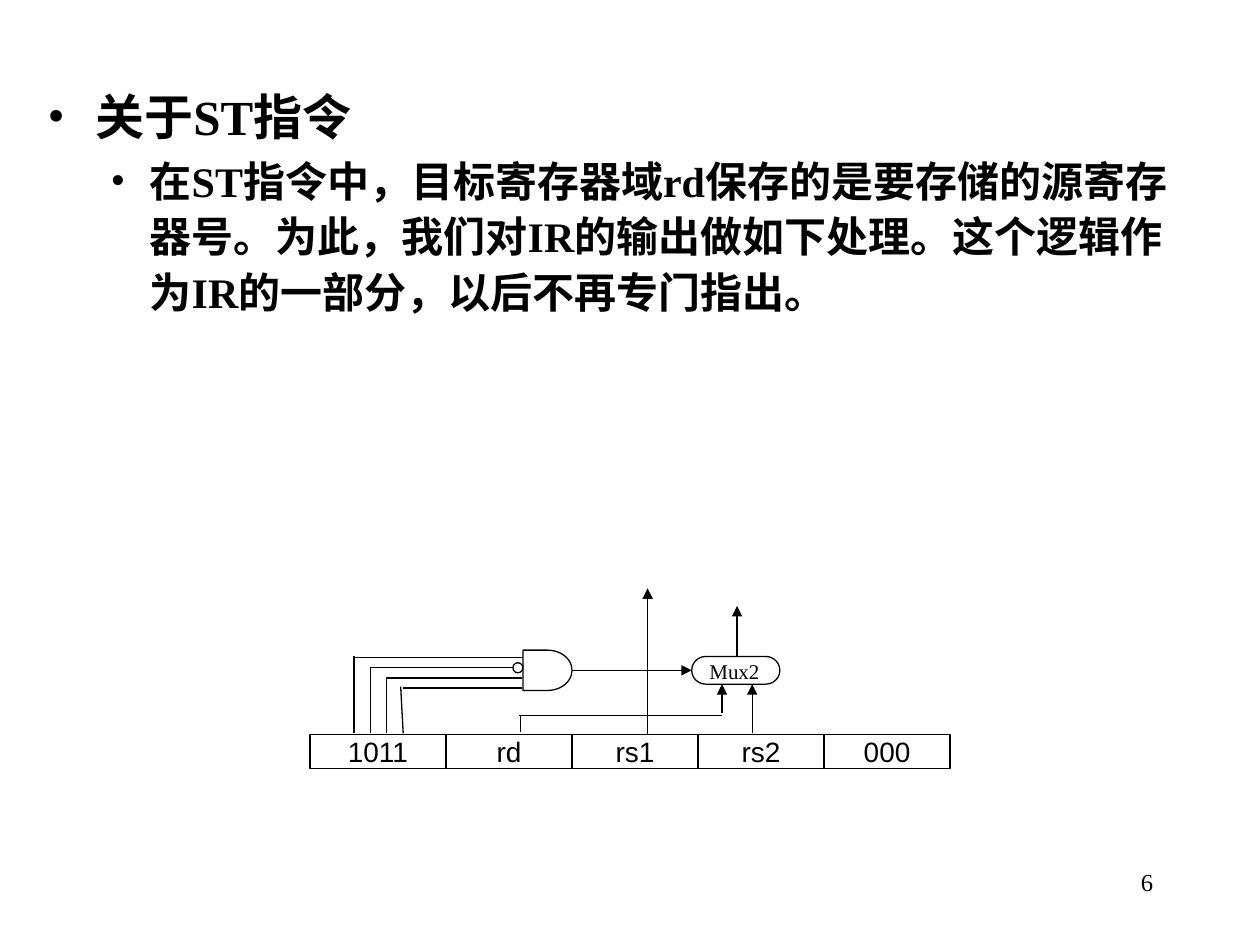
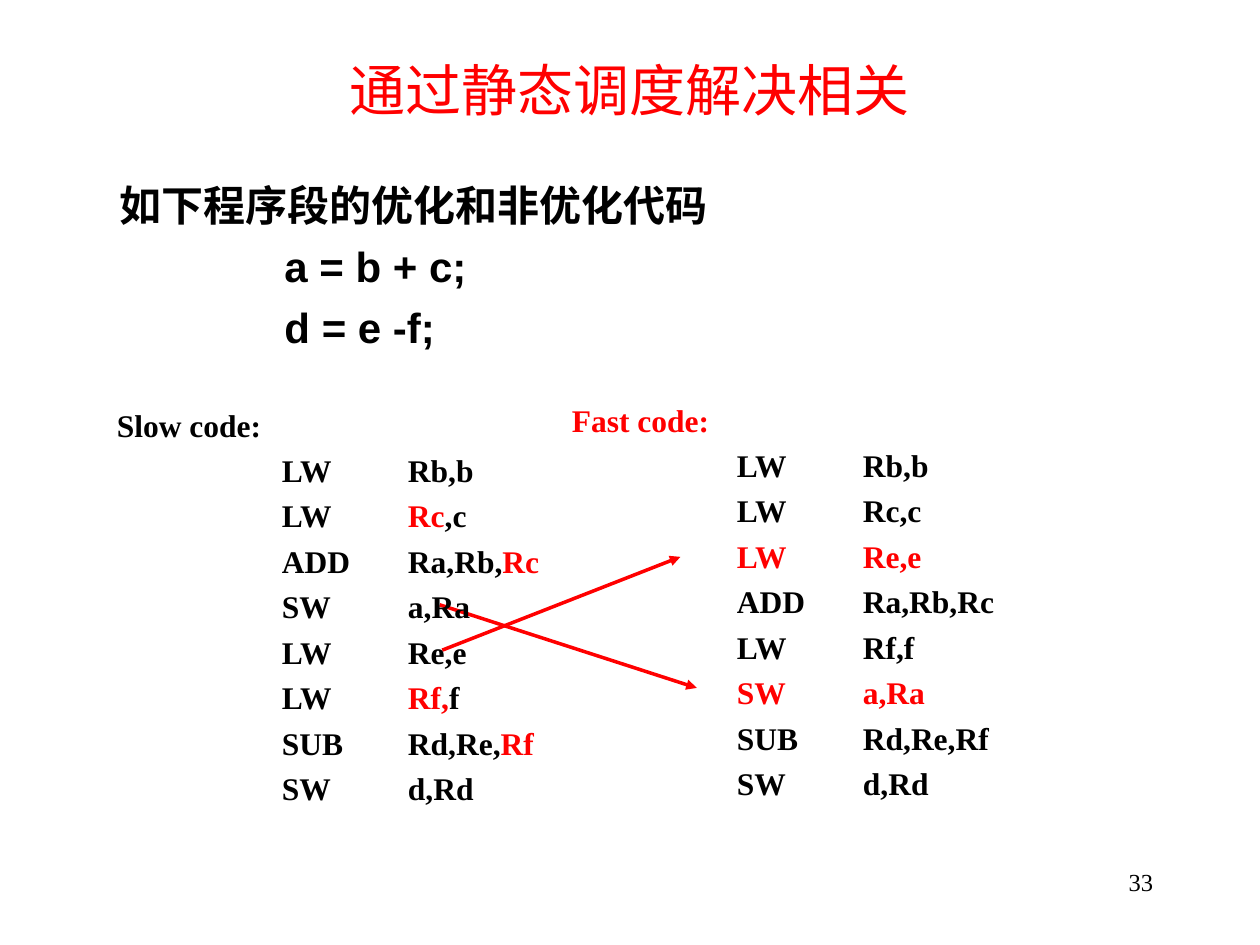
import pptx
import pptx.dml.color
import pptx.enum.shapes
import pptx.enum.text
import pptx.oxml
import pptx.oxml.ns
import pptx.util
from pptx.util import Inches

BLACK = pptx.dml.color.RGBColor(0, 0, 0)
WHITE = pptx.dml.color.RGBColor(255, 255, 255)
RED = pptx.dml.color.RGBColor(255, 0, 0)
SERIF, SANS = "Times New Roman", "Arial"

ALIGN = pptx.enum.text.PP_ALIGN
ANCHOR = pptx.enum.text.MSO_ANCHOR
SHAPE = pptx.enum.shapes.MSO_SHAPE
LEFT, RIGHT = 1, 3

# Paragraph formats
BULLET_1 = {"line_spacing": 1.1, "space_before": pptx.util.Pt(3.5)}
BULLET_2 = {"level": 1, "line_spacing": 1.1, "space_before": pptx.util.Pt(3)}
STATEMENT = {"line_spacing": 0.9, "space_before": pptx.util.Pt(9)}
CODE = {"line_spacing": 1.1, "space_before": pptx.util.Pt(2.2)}
HANGING = (0.31, -0.31)
TAB_SIZE = Inches(1)


def set_all(target, values):
    for name, value in values.items():
        setattr(target, name, value)


def font(name, size, bold=False):
    return {"name": name, "size": pptx.util.Pt(size), "bold": bold}


def add_xml(parent, tag, **attributes):
    element = pptx.oxml.parse_xml(f"<a:{tag} {pptx.oxml.ns.nsdecls('a')}/>")
    for name, value in attributes.items():
        element.set(name, str(value))
    parent.append(element)
    return element


class Deck:
    """Holds the shared style and the current slide."""

    def __init__(self):
        self.presentation = pptx.Presentation()
        self.presentation.slide_width = Inches(10)
        self.presentation.slide_height = Inches(7.5)
        self.slide = None
        self.set_tab_size()

    def set_tab_size(self):
        """Spaces the default tab stops of all inherited text styles."""
        for holder in (self.presentation, self.presentation.slide_master):
            for element in holder.element.iter():
                if element.get("defTabSz"):
                    element.set("defTabSz", str(TAB_SIZE))

    def new_slide(self, number):
        layout = self.presentation.slide_layouts[6]
        self.slide = self.presentation.slides.add_slide(layout)
        frame = self.text_box(7.17, 6.83, 2.08, 0.5)
        self.paragraph(frame, str(number), font(SERIF, 14), {"alignment": ALIGN.RIGHT})

    def title(self, text):
        frame = self.text_box(0.75, 0.29, 8.5, 0.84)
        frame.vertical_anchor = ANCHOR.MIDDLE
        self.paragraph(frame, text, font(SANS, 32), {"alignment": ALIGN.CENTER}, color=RED)

    def text_box(self, left, top, width, height, margins=(0.1, 0.05)):
        box = self.slide.shapes.add_textbox(
            Inches(left), Inches(top), Inches(width), Inches(height))
        return self.prepare(box.text_frame, margins)

    def prepare(self, frame, margins):
        side, end = map(Inches, margins)
        set_all(frame, {"word_wrap": True, "vertical_anchor": ANCHOR.TOP,
                        "margin_left": side, "margin_right": side,
                        "margin_top": end, "margin_bottom": end})
        return frame

    def paragraph(self, frame, text, font_format, layout, color=BLACK,
                  indent=None, bullet=False):
        """Adds a paragraph; parts between asterisks are red."""
        paragraph = frame.paragraphs[0]
        if paragraph.runs:
            paragraph = frame.add_paragraph()
        set_all(paragraph, layout)
        properties = paragraph._p.get_or_add_pPr()
        properties.set("defTabSz", str(TAB_SIZE))
        if indent:
            properties.set("marL", str(Inches(indent[0])))
            properties.set("indent", str(Inches(indent[1])))
        if bullet:
            add_xml(add_xml(properties, "buClr"), "srgbClr", val=BLACK)
            add_xml(properties, "buFont", typeface=SERIF)
            add_xml(properties, "buChar", char="•")
        for index, part in enumerate(text.split("*")):
            if part:
                run = paragraph.add_run()
                run.text = part
                set_all(run.font, font_format)
                run.font.color.rgb = RED if index % 2 else color

    def shape(self, kind, left, top, width, height, fill=None, text=None):
        shape = self.slide.shapes.add_shape(
            kind, Inches(left), Inches(top), Inches(width), Inches(height))
        shape.shadow.inherit = False
        if fill is None:
            shape.fill.background()
        else:
            shape.fill.solid()
            shape.fill.fore_color.rgb = fill
        shape.line.color.rgb = BLACK
        shape.line.width = pptx.util.Pt(0.75)
        if text:
            frame = self.prepare(shape.text_frame, (0, 0))
            self.paragraph(frame, text, font(SANS, 16), {"alignment": ALIGN.CENTER})
        return shape

    def line(self, start, end, arrow=False, color=BLACK, width=0.75):
        line = self.slide.shapes.add_connector(
            pptx.enum.shapes.MSO_CONNECTOR.STRAIGHT, *map(Inches, start + end))
        line.line.color.rgb = color
        line.line.width = pptx.util.Pt(width)
        if arrow:
            add_xml(line.line._get_or_add_ln(), "tailEnd", type="triangle")
        add_xml(line._element.spPr, "effectLst")
        return line

    def code(self, frame, heading, color, instructions):
        style = {"font_format": font(SERIF, 18, True), "layout": CODE, "indent": HANGING}
        self.paragraph(frame, heading, color=color, **style)
        for instruction in instructions:
            self.paragraph(frame, "\t\t" + instruction, **style)


def build_store_slide(deck):
    deck.new_slide(6)

    # Explanation
    body = deck.text_box(0.28, 0.59, 9.32, 2.39)
    deck.paragraph(body, "关于ST指令", font(SERIF, 28, True), BULLET_1,
                   indent=(0.38, -0.38), bullet=True)
    deck.paragraph(
        body, "在ST指令中，目标寄存器域rd保存的是要存储的源寄存器号。"
        "为此，我们对IR的输出做如下处理。这个逻辑作为IR的一部分，以后不再专门指出。",
        font(SERIF, 24, True), BULLET_2, indent=(0.81, -0.31), bullet=True)

    # Multiplexer
    mux = deck.shape(SHAPE.FLOWCHART_TERMINATOR, 5.49, 5.21, 0.7, 0.22)
    label = deck.text_box(5.61, 5.22, 0.48, 0.17, margins=(0.02, 0.01))
    deck.paragraph(label, "Mux2", font(SERIF, 12), {"alignment": ALIGN.JUSTIFY})

    # Instruction fields
    left = 2.46
    for field, width in (("1011", 1.08), ("rd", 1), ("rs1", 1), ("rs2", 1), ("000", 1)):
        deck.shape(SHAPE.RECTANGLE, left, 5.83, width, 0.27, text=field)
        left += width

    # Gate with one inverted input
    gate = deck.shape(SHAPE.FLOWCHART_DELAY, 4.15, 5.16, 0.39, 0.32, fill=WHITE)
    deck.shape(SHAPE.OVAL, 4.07, 5.26, 0.08, 0.08, fill=WHITE)

    # Opcode bits into the gate
    for top_x, foot_x, gate_x, y in ((2.81, 2.81, 4.15, 5.22), (2.94, 2.94, 4.07, 5.3),
                                     (3.07, 3.07, 4.14, 5.38), (3.18, 3.2, 4.14, 5.46)):
        deck.line((foot_x, y), (gate_x, y))
        deck.line((top_x, y - 0.01), (foot_x, 5.82))

    # Register fields into the multiplexer and out
    deck.line((4.13, 5.81), (4.13, 5.68))
    deck.line((4.12, 5.68), (5.73, 5.68))
    deck.line((5.73, 5.66), (5.73, 5.43), arrow=True)
    deck.line((5.97, 5.82), (5.97, 5.43), arrow=True)
    deck.line((5.14, 5.83), (5.14, 4.67), arrow=True)
    deck.line((5.85, 5.21), (5.85, 4.81), arrow=True)
    select = deck.line((4.54, 5.32), (5.49, 5.32), arrow=True)
    select.begin_connect(gate, RIGHT)
    select.end_connect(mux, LEFT)


def build_scheduling_slide(deck):
    deck.new_slide(33)
    deck.title("通过静态调度解决相关")

    # Source statements
    statements = deck.text_box(0.85, 1.42, 6.87, 1.4)
    for text in ("如下程序段的优化和非优化代码", "\t\ta = b + c;", "\t\td = e -f;"):
        deck.paragraph(statements, text, font(SANS, 24, True), STATEMENT, indent=HANGING)

    # Scheduled code
    deck.code(deck.text_box(4.44, 3.1, 3.92, 3.4), "Fast code:", RED, (
        "LW \tRb,b", "LW \tRc,c", "*LW \tRe,e*", "ADD \tRa,Rb,Rc",
        "LW \tRf,f", "*SW \ta,Ra*", "SUB \tRd,Re,Rf", "SW\td,Rd"))

    # Moved instructions
    for start, end in (((3.49, 4.8), (5.53, 5.46)), ((3.51, 5.16), (5.4, 4.42))):
        deck.line(start, end, arrow=True, color=RED, width=2)

    # Unscheduled code
    deck.code(deck.text_box(0.83, 3.14, 4.53, 3.44), "Slow code:", BLACK, (
        "LW \tRb,b", "LW \t*Rc*,c", "ADD \tRa,Rb,*Rc*", "SW \ta,Ra",
        "LW \tRe,e", "LW \t*Rf,*f", "SUB \tRd,Re,*Rf*", "SW\td,Rd"))


def main():
    deck = Deck()
    build_store_slide(deck)
    build_scheduling_slide(deck)
    deck.presentation.save("out.pptx")


if __name__ == "__main__":
    main()
